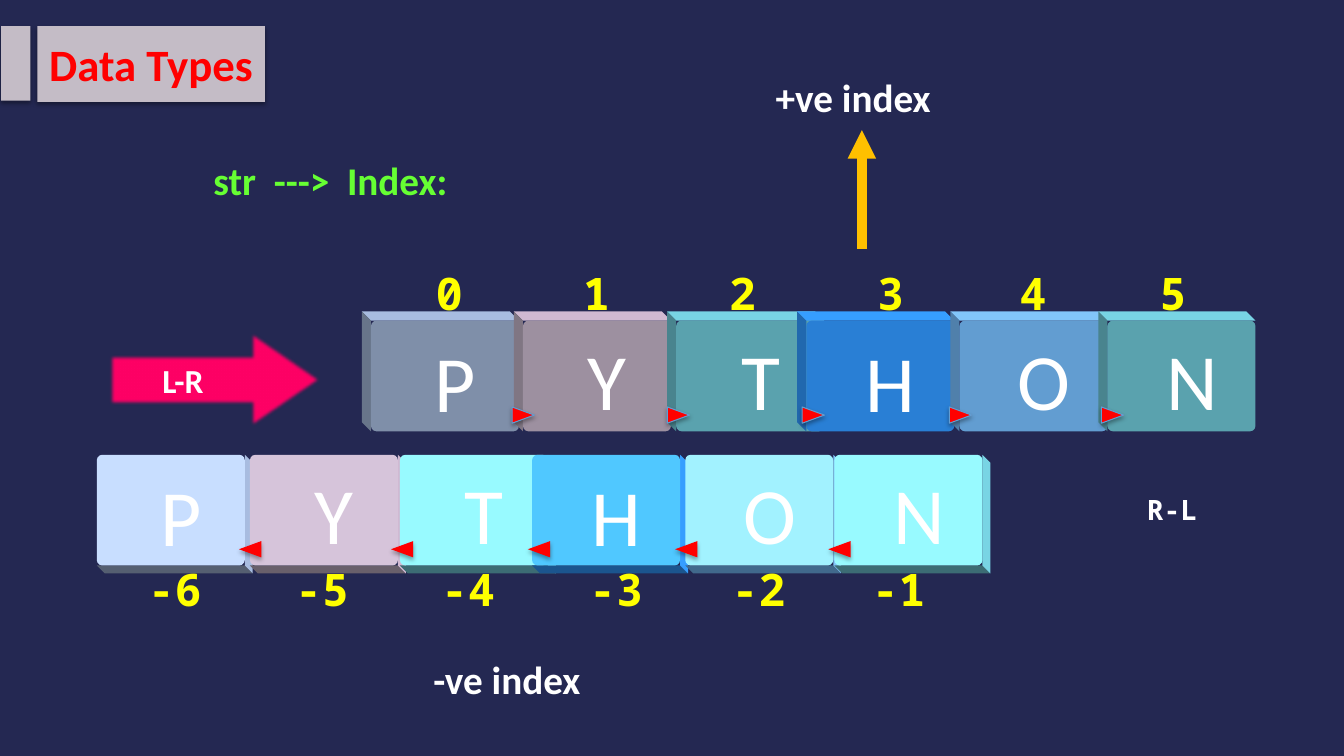
from lxml import etree
from pptx import Presentation
from pptx.dml.color import RGBColor
from pptx.enum import shapes as kinds, text as modes
from pptx.oxml import ns
from pptx.util import Cm, Pt

NAVY = RGBColor(0x24, 0x28, 0x52)
GREY = RGBColor(0xC4, 0xBC, 0xC6)
RED = RGBColor(0xFF, 0, 0)
GREEN = RGBColor(0x66, 0xFF, 0x33)
WHITE = RGBColor(0xFF, 0xFF, 0xFF)
YELLOW = RGBColor(0xFF, 0xFF, 0)
PINK = RGBColor(0xFF, 0, 0x66)
GOLD = RGBColor(0xFF, 0xC0, 0)
BLUE = RGBColor(0x62, 0x9D, 0xD1)
SANS, MONO = "Calibri", "Noto Sans Mono"

WORD = "PYTHON"
# plain face, lit face, lit edge
TONES = [
    ("7F8FA9", "C8DEFF", "A8BCE0"),
    ("9D90A0", "D6C4DA", "D0B9D2"),
    ("5AA2AE", "98FAFF", "78D4E4"),
    ("297FD5", "50C8FF", "369EFF"),
    ("629DD1", "A2F2FF", "82C6FA"),
    ("5AA2AE", "98FAFF", "78D4E4"),
]
# lit row, tile lefts, tile top, edge depth, dark edge, label top, labels, label shift
ROWS = [
    (False, [9.35, 13.18, 17.04, 20.32, 24.18, 27.91], 8.08, -0.23, 0.82,
     6.58, [" 0", " 1", " 2", " 3", " 4", " 5"], 0),
    (True, [2.44, 6.3, 10.08, 13.41, 17.27, 21.03], 11.46, 0.2, 0.67,
     14.02, ["-6", "-5", "-4", "-3", "-2", "-1"], -6.58),
]
MARKS = [-0.2, -0.15, -0.03, -0.18, -0.08]
LABELS = [10.06, 13.77, 17.45, 21.18, 24.77, 28.3]
NOTES = [
    ("str  --->  Index:", 5.13, 3.81, GREEN),
    ("+ve index", 19.3, 1.73, WHITE),
    ("-ve index", 10.67, 16.38, WHITE),
]
ARROW = [(6.3, 8.28), (8.18, 9.57), (6.3, 10.85), (6.3, 10.21),
         (2.77, 10.21), (2.77, 8.94), (6.3, 8.94)]
WIDE, HIGH = 3.73, 2.79

deck = Presentation()
deck.slide_width, deck.slide_height = Cm(33.87), Cm(19.05)
slide = deck.slides.add_slide(deck.slide_layouts[6])
slide.background.fill.solid()
slide.background.fill.fore_color.rgb = NAVY
parts = slide.shapes


def paint(shape, color):
    shape.fill.solid()
    shape.fill.fore_color.rgb = color
    shape.line.fill.background()
    shape.shadow.inherit = False
    return shape


def effect(shape, tag, **attrs):
    """Put one effect into the empty effect list and return it."""
    box = shape._element.spPr.find(ns.qn("a:effectLst"))
    return etree.SubElement(box, ns.qn(tag), attrs)


def shade(shape):
    cast = effect(shape, "a:outerShdw", blurRad="39000", dist="23000",
                  dir="5400000", rotWithShape="0")
    tone = etree.SubElement(cast, ns.qn("a:srgbClr"), val="000000")
    etree.SubElement(tone, ns.qn("a:alpha"), val="35000")


def block(kind, x, y, w, h, color):
    return paint(parts.add_shape(kind, Cm(x), Cm(y), Cm(w), Cm(h)), color)


def outline(points, color):
    spots = [(Cm(x), Cm(y)) for x, y in points]
    pen = parts.build_freeform(*spots[0], scale=1.0)
    pen.add_line_segments(spots[1:], close=True)
    return paint(pen.convert_to_shape(), color)


def write(shape, words, size, color, font=SANS, bold=True, center=False):
    frame = shape.text_frame
    frame.word_wrap = True
    para = frame.paragraphs[0]
    para.alignment = modes.PP_ALIGN.CENTER if center else modes.PP_ALIGN.LEFT
    run = para.add_run()
    run.text = words
    run.font.size, run.font.name, run.font.bold = Pt(size), font, bold
    run.font.color.rgb = color
    return frame


def textbox(x, y, w, h, *args, **more):
    return write(parts.add_textbox(Cm(x), Cm(y), Cm(w), Cm(h)), *args, **more)


def margins(frame, left, top, right, low):
    frame.margin_left, frame.margin_top = Cm(left), Cm(top)
    frame.margin_right, frame.margin_bottom = Cm(right), Cm(low)


def dim(color, rate):
    return RGBColor(*(int(v * rate) for v in color))


def tile(letter, x, y, depth, face, flat, side):
    """Draw a raised key: two slanted edges, the face and its letter."""
    edge_x = x + WIDE if depth > 0 else x
    edge_y = y + HIGH if depth > 0 else y
    outline([(x, edge_y), (x + WIDE, edge_y),
             (x + WIDE + depth, edge_y + depth), (x + depth, edge_y + depth)], flat)
    outline([(edge_x, y), (edge_x, y + HIGH),
             (edge_x + depth, y + HIGH + depth), (edge_x + depth, y + depth)], side)
    key = block(kinds.MSO_SHAPE.ROUNDED_RECTANGLE, x, y, WIDE, HIGH, face)
    key.adjustments[0] = 0.05
    frame = textbox(x + 0.74, y, 2.77, HIGH, letter, 57, WHITE, bold=False, center=True)
    margins(frame, 0, 0.53, 0, 0)
    frame.paragraphs[0].line_spacing = 0.9
    if letter in "PH":
        frame.vertical_anchor = modes.MSO_ANCHOR.MIDDLE


shade(block(kinds.MSO_SHAPE.RECTANGLE, 0.03, 0.66, 0.74, 1.88, GREY))
title = block(kinds.MSO_SHAPE.RECTANGLE, 0.94, 0.66, 5.74, 1.91, GREY)
shade(title)
write(title, "Data Types", 32, RED, center=True).vertical_anchor = modes.MSO_ANCHOR.MIDDLE

for lit, lefts, top, depth, dark, label_y, labels, shift in ROWS:
    for letter, x, tones in zip(WORD, lefts, TONES):
        plain, glow, edge = (RGBColor.from_string(t) for t in tones)
        deep = dim(plain, dark)
        if lit:
            tile(letter, x, top, depth, glow, deep, edge)
        else:
            tile(letter, x, top, depth, plain, edge, deep)
    for x, gap in zip(lefts[1:], MARKS):
        mark = block(kinds.MSO_SHAPE.FLOWCHART_EXTRACT, x + gap, top + 2.1, 0.41, 0.56, RED)
        mark.rotation = 270 if lit else 90
        shade(mark)
        if not lit:
            mark.line.color.rgb = BLUE
            mark.line.width = Pt(0.75)
    for label, x in zip(labels, LABELS):
        textbox(x + shift, label_y, 2.16, 1.63, label, 32, YELLOW, font=MONO)

arrow = outline(ARROW, PINK)
effect(arrow, "a:softEdge", rad="31750")
frame = write(arrow, "L-R", 24, WHITE, center=True)
margins(frame, 1.24, 0, 2.97, 0)
frame.vertical_anchor = modes.MSO_ANCHOR.MIDDLE
frame = textbox(28.27, 11.56, 2.54, 2.57, "R-L", 20, WHITE, font=MONO, center=True)
frame.vertical_anchor = modes.MSO_ANCHOR.MIDDLE

for words, x, y, color in NOTES:
    textbox(x, y, 9.68, 2.11, words, 28, color)

up = parts.add_connector(kinds.MSO_CONNECTOR.STRAIGHT, Cm(21.72), Cm(6.27), Cm(21.72), Cm(3.28))
up.line.color.rgb = GOLD
up.line.width = Pt(6.75)
etree.SubElement(up.line._get_or_add_ln(), ns.qn("a:tailEnd"), type="triangle")
etree.SubElement(up._element.spPr, ns.qn("a:effectLst"))

deck.save("out.pptx")
